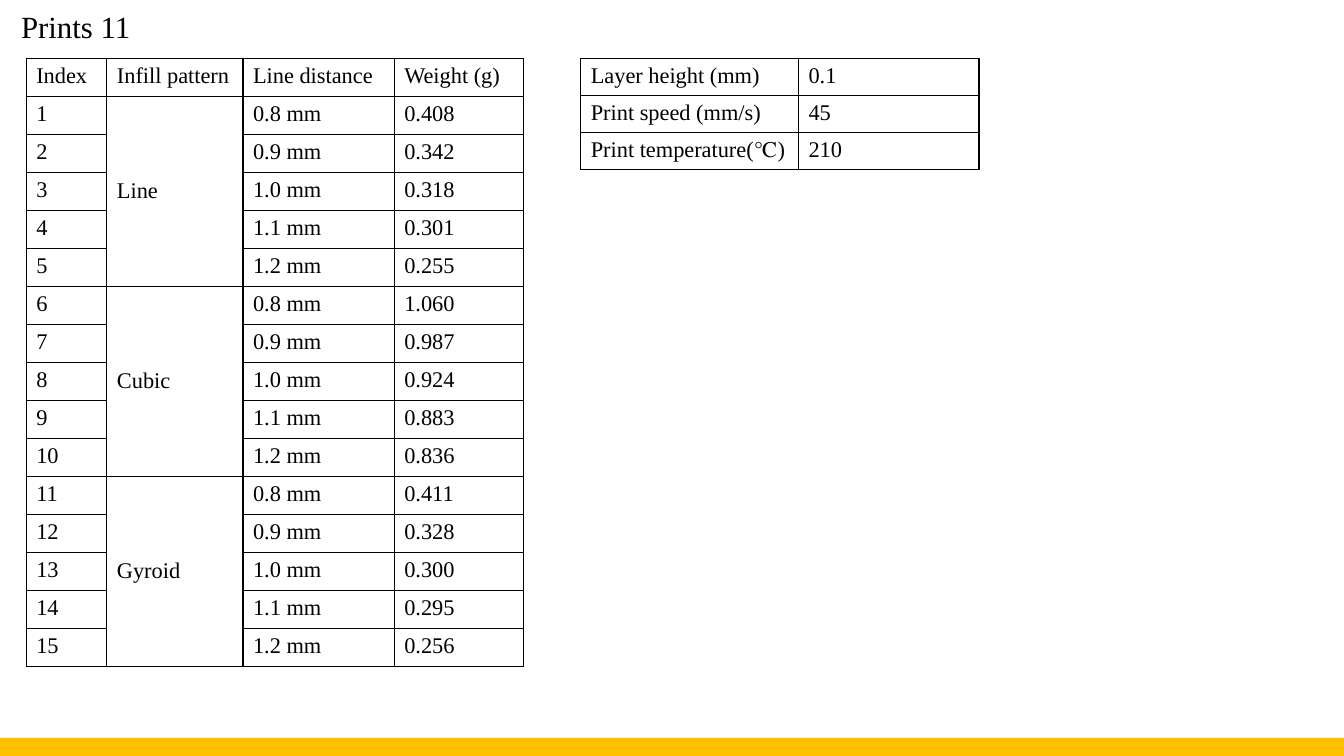
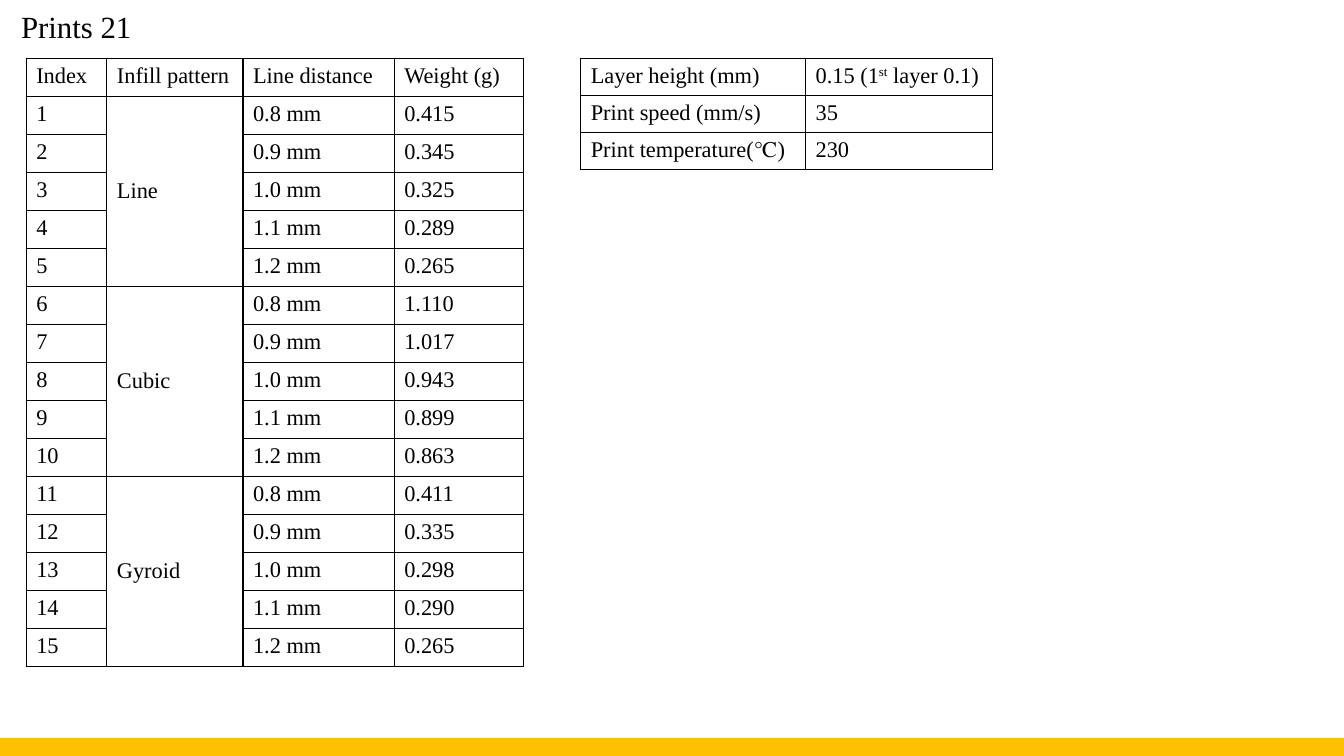
from lxml import etree
from pptx import Presentation
from pptx.dml.color import RGBColor
from pptx.enum import shapes, text
from pptx.oxml import ns
from pptx.util import Inches, Pt

FONT, INK, GOLD = "Times New Roman", "000000", "FFC000"
TOP = 0.58

HEAD = ("Index", "Infill pattern", "Line distance", "Weight (g)")
FILLS = ("Line", "Cubic", "Gyroid")
GAPS = ("0.8 mm", "0.9 mm", "1.0 mm", "1.1 mm", "1.2 mm")
LABELS = ("Layer height (mm)", "Print speed (mm/s)", "Print temperature(℃)")

# A tuple as a cell value holds runs; every second run is superscript.
PRINTS = [
    {
        "title": "Prints 11",
        "values": ("0.1", "45", "210"),
        "cols": (2.16, 1.79),
        "weights": ("0.408", "0.342", "0.318", "0.301", "0.255",
                    "1.060", "0.987", "0.924", "0.883", "0.836",
                    "0.411", "0.328", "0.300", "0.295", "0.256"),
    },
    {
        "title": "Prints 21",
        "values": (("0.15 (1", "st", " layer 0.1)"), "35", "230"),
        "cols": (2.23, 1.85),
        "weights": ("0.415", "0.345", "0.325", "0.289", "0.265",
                    "1.110", "1.017", "0.943", "0.899", "0.863",
                    "0.411", "0.335", "0.298", "0.290", "0.265"),
    },
]


def color(code):
    return RGBColor.from_string(code)


def style(run, size):
    run.font.name = FONT
    run.font.size = Pt(size)
    run.font.color.rgb = color(INK)


def frame(cell):
    """Give a cell thin borders on all sides and no fill."""
    props = cell._tc.get_or_add_tcPr()
    for side in ("lnL", "lnR", "lnT", "lnB"):
        line = etree.SubElement(props, ns.qn("a:" + side), w=str(Pt(1)))
        fill = etree.SubElement(line, ns.qn("a:solidFill"))
        etree.SubElement(fill, ns.qn("a:srgbClr"), val=INK)
    cell.fill.background()


def write(cell, value):
    para = cell.text_frame.paragraphs[0]
    parts = value if isinstance(value, tuple) else (value,)
    for i, part in enumerate(parts):
        run = para.add_run()
        run.text = part
        style(run, 16)
        if i % 2:
            run.font._element.set("baseline", "30000")


def add_grid(slide, rows, left, cols, height):
    """Add a bordered table; None leaves a cell empty for merging."""
    table = slide.shapes.add_table(
        len(rows), len(cols), Inches(left), Inches(TOP),
        Inches(sum(cols)), Inches(height)).table
    table.first_row = table.horz_banding = False
    for col, width in zip(table.columns, cols):
        col.width = Inches(width)
    for r, row in enumerate(rows):
        for c, value in enumerate(row):
            cell = table.cell(r, c)
            frame(cell)
            if value is not None:
                write(cell, value)
    return table


def add_weights(slide, weights):
    step = len(GAPS)
    rows = [HEAD]
    for i, weight in enumerate(weights):
        group, pos = divmod(i, step)
        name = None if pos else FILLS[group]
        rows.append((str(i + 1), name, GAPS[pos], weight))
    table = add_grid(slide, rows, 0.26, (0.8, 1.35, 1.5, 1.28), 6.03)
    for top in range(1, len(rows), step):
        cell = table.cell(top, 1)
        cell.merge(table.cell(top + step - 1, 1))
        cell.vertical_anchor = text.MSO_ANCHOR.MIDDLE


def add_title(slide, words):
    title = slide.shapes.title
    title.text_frame.text = words
    para = title.text_frame.paragraphs[0]
    para.alignment = text.PP_ALIGN.LEFT
    para.line_spacing = 0.9
    style(para.runs[0], 22)


def set_layout(layout, slide):
    """Place the layout's title and move a gold band from slide to layout."""
    title = layout.placeholders[0]
    title.left, title.top = Inches(0.11), Inches(0)
    title.width, title.height = Inches(13.22), Inches(0.57)
    title.text_frame.vertical_anchor = text.MSO_ANCHOR.MIDDLE
    band = slide.shapes.add_shape(
        shapes.MSO_SHAPE.RECTANGLE, Inches(0), Inches(7.32),
        Inches(13.33), Inches(0.18))
    band.shadow.inherit = False
    band.fill.solid()
    band.fill.fore_color.rgb = color(GOLD)
    band.line.fill.background()
    layout.shapes._spTree.append(band._element)


def main():
    prs = Presentation()
    prs.slide_width, prs.slide_height = Inches(13.33), Inches(7.5)
    layout = prs.slide_layouts[5]
    for i, data in enumerate(PRINTS):
        slide = prs.slides.add_slide(layout)
        if i == 0:
            set_layout(layout, slide)
        add_title(slide, data["title"])
        add_grid(slide, list(zip(LABELS, data["values"])),
                 5.76, data["cols"], 1.1)
        add_weights(slide, data["weights"])
    prs.save("out.pptx")


if __name__ == "__main__":
    main()
